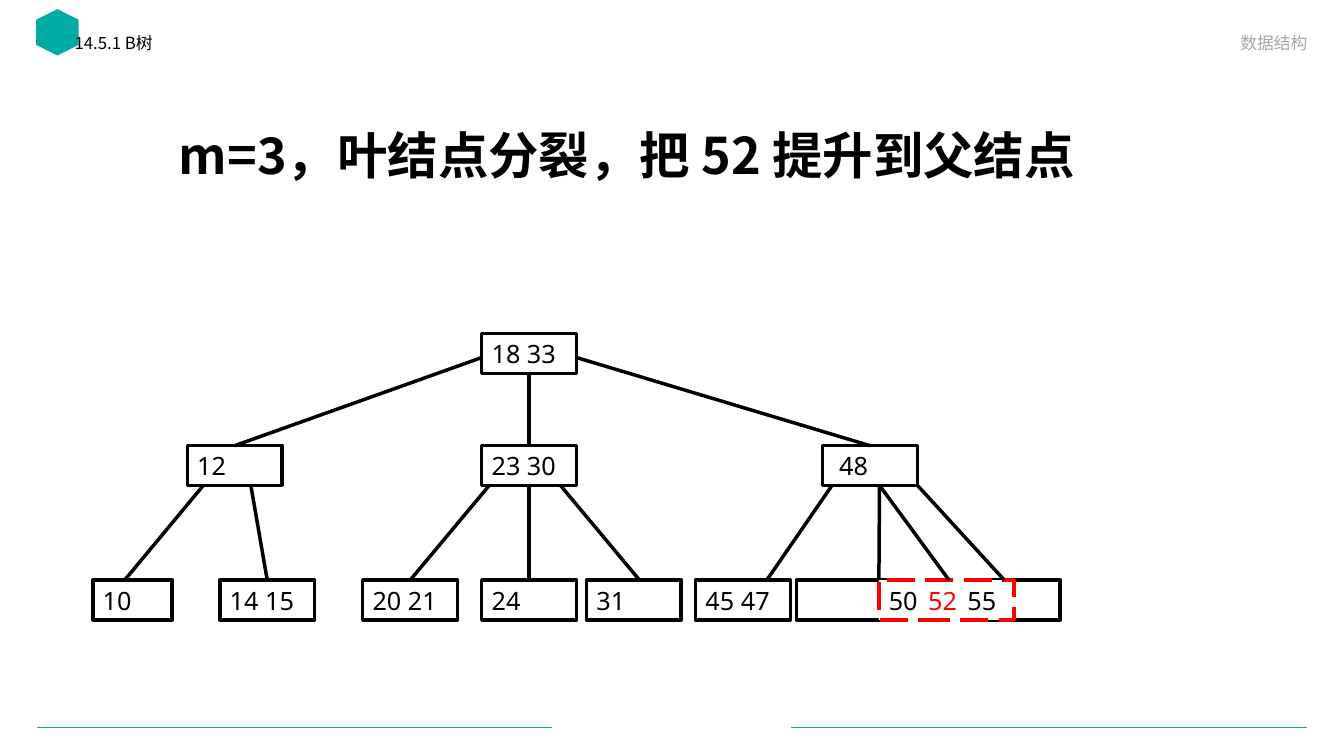
from pptx import Presentation
from pptx.dml.color import RGBColor
from pptx.enum import dml, shapes, text
from pptx.oxml.ns import qn
from pptx.util import Cm, Pt
from lxml import etree

THEME = {
    "black": "000000", "white": "FFFFFF", "grey": "A6A6A6",
    "teal": "00ABA5", "red": "FF0000",
    "latin": "Noto Sans", "cjk": "Noto Sans CJK SC",
    "small": 12, "key": 18, "title": 36, "thin": 0.5, "thick": 2.5,
}

# Lengths in cm: left, top, width, height
HEADS = [
    ("14.5.1 B树", (1.63, 0.76, 13.5, 0.91), "small", "black", "left", "top"),
    ("数据结构", (18.87, 0.56, 14.33, 0.89), "small", "grey", "right", "bottom"),
    ("m=3，叶结点分裂，把 52 提升到父结点", (2.08, 2.87, 27.43, 2.24),
     "title", "black", "center", "middle"),
]
RULES = [(0.94, 13.92), (19.94, 32.94)]
RULE_Y = 18.34
LEVELS = [8.41, 11.23, 14.62]
NODE_W, NODE_H = 2.39, 1.0

# name: (keys, level, left, width)
NODES = {
    "blank1": ("", 2, 20.07, NODE_W),
    "blank2": ("", 2, 24.33, NODE_W),
    "root": ("18 33", 0, 12.14, NODE_W),
    "a": ("12", 1, 4.72, NODE_W),
    "b": ("23 30", 1, 12.14, NODE_W),
    "c": ("48", 1, 20.73, NODE_W),
    "a1": ("10", 2, 2.34, 2.0),
    "a2": ("14 15", 2, 5.54, NODE_W),
    "b1": ("20 21", 2, 9.14, NODE_W),
    "b2": ("24", 2, 12.14, NODE_W),
    "b3": ("31", 2, 14.78, NODE_W),
    "c1": ("45 47", 2, 17.53, NODE_W),
    "split": ("50", 2, 22.15, 3.4),
}
INDENT = {"c": 0.17}

# parent, (x, y) share of its box, child, x share of its top edge
EDGES = [
    ("root", (0, 0.6), "a", 0.5),
    ("root", (0.5, 1), "b", 0.5),
    ("root", (1, 0.6), "c", 0.5),
    ("a", (0.17, 1), "a1", 0.4),
    ("a", (0.67, 1), "a2", 0.5),
    ("b", (0.08, 1), "b1", 0.5),
    ("b", (0.5, 1), "b2", 0.5),
    ("b", (0.83, 1), "b3", 0.56),
    ("c", (0.1, 1), "c1", 0.75),
    ("c", (0.6, 1), "split", 0),
    ("c", (0.6, 1), "split", 0.52),
    ("c", (1, 1), "split", 0.93),
]
SPLIT_KEYS = [("52", 23.14, "red"), ("55", 24.13, "black")]

ALIGN = {"left": text.PP_ALIGN.LEFT, "center": text.PP_ALIGN.CENTER,
         "right": text.PP_ALIGN.RIGHT}
ANCHOR = {"top": text.MSO_ANCHOR.TOP, "middle": text.MSO_ANCHOR.MIDDLE,
          "bottom": text.MSO_ANCHOR.BOTTOM}


def color(name):
    return RGBColor.from_string(THEME[name])


def write(shape, words, size="key", tint="black", font="latin",
          align="left", anchor="top"):
    frame = shape.text_frame
    frame.word_wrap = True
    frame.vertical_anchor = ANCHOR[anchor]
    para = frame.paragraphs[0]
    para.text = words
    para.alignment = ALIGN[align]
    para.font.name = THEME[font]
    para.font.size = Pt(THEME[size])
    para.font.bold = size == "title"
    para.font.color.rgb = color(tint)
    props = para._p.pPr.find(qn("a:defRPr"))
    etree.SubElement(props, qn("a:ea")).set("typeface", THEME[font])
    return para


def add_text(slide, words, box, **style):
    return write(slide.shapes.add_textbox(*map(Cm, box)), words, **style)


def add_line(slide, start, end, tint="black", width="thick"):
    line = slide.shapes.add_connector(
        shapes.MSO_CONNECTOR.STRAIGHT, *map(Cm, start + end))
    line.line.color.rgb = color(tint)
    line.line.width = Pt(THEME[width])
    etree.SubElement(line._element.spPr, qn("a:effectLst"))


def add_node(slide, name):
    keys, level, left, width = NODES[name]
    box = slide.shapes.add_shape(
        shapes.MSO_SHAPE.RECTANGLE,
        *map(Cm, (left, LEVELS[level], width, NODE_H)))
    box.shadow.inherit = False
    box.fill.solid()
    box.fill.fore_color.rgb = color("white")
    box.line.color.rgb = color("red" if name == "split" else "black")
    box.line.width = Pt(THEME["thick"])
    if name == "split":
        box.line.dash_style = dml.MSO_LINE.LONG_DASH
    if keys:
        write(box, keys)
        box.text_frame.margin_left = Cm(0.25 + INDENT.get(name, 0))


def spot(name, x, y):
    """Point at the given shares of a node's width and height."""
    _, level, left, width = NODES[name]
    return left + x * width, LEVELS[level] + y * NODE_H


def main():
    deck = Presentation()
    deck.slide_width, deck.slide_height = Cm(33.87), Cm(19.05)
    slide = deck.slides.add_slide(deck.slide_layouts[6])

    for left, right in RULES:
        add_line(slide, (left, RULE_Y), (right, RULE_Y), "teal", "thin")
    badge = slide.shapes.add_shape(
        shapes.MSO_SHAPE.HEXAGON, Cm(0.86), Cm(0.28), Cm(1.17), Cm(1.07))
    badge.rotation = 90
    badge.shadow.inherit = False
    badge.fill.solid()
    badge.fill.fore_color.rgb = color("teal")
    badge.line.fill.background()

    for words, box, size, tint, align, anchor in HEADS:
        para = add_text(slide, words, box, size=size, tint=tint, font="cjk",
                        align=align, anchor=anchor)
        para.line_spacing = 1.0 if align == "right" else 0.9

    for name in NODES:
        add_node(slide, name)
    for parent, start, child, x in EDGES:
        add_line(slide, spot(parent, *start), spot(child, x, 0))
    for key, left, tint in SPLIT_KEYS:
        add_text(slide, key, (left, LEVELS[2], 1.4, NODE_H), tint=tint)

    deck.save("out.pptx")


if __name__ == "__main__":
    main()
